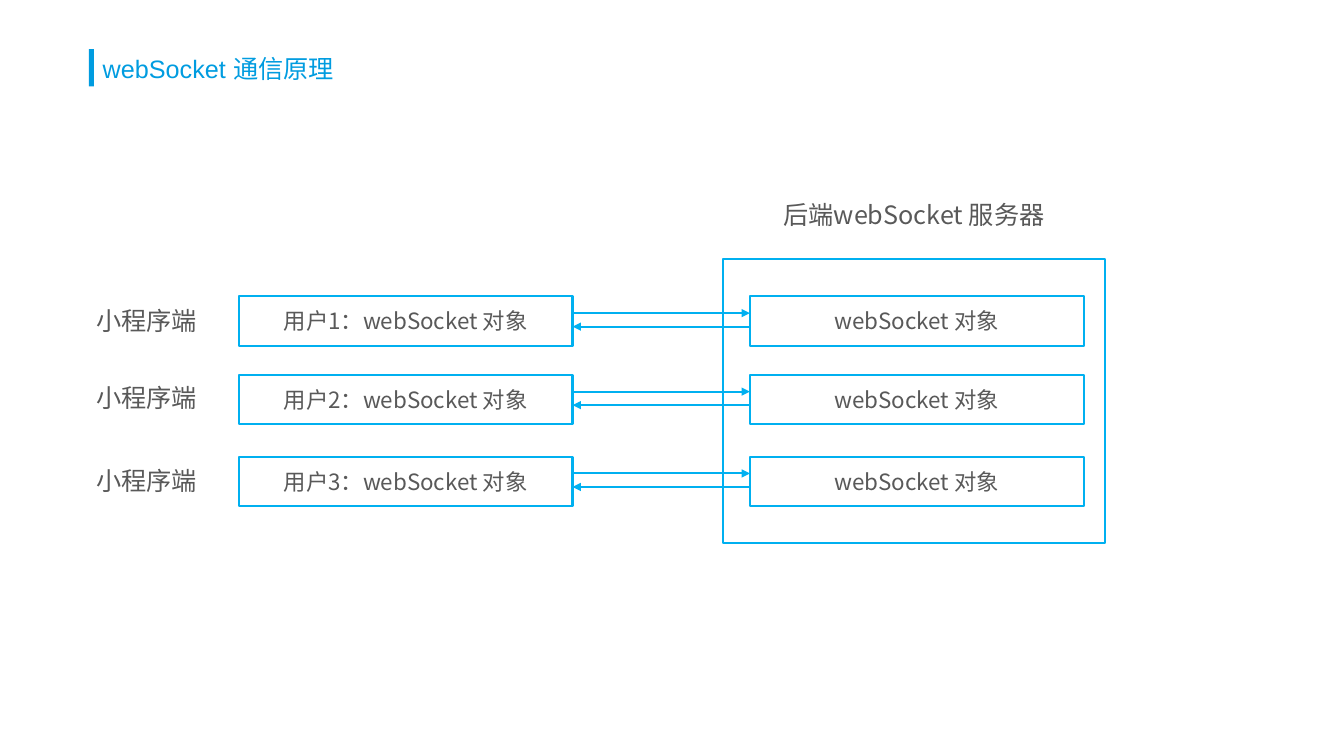
from lxml.etree import SubElement
from pptx import Presentation
from pptx.dml.color import RGBColor
from pptx.enum.shapes import MSO_CONNECTOR as Link, MSO_SHAPE as Kind
from pptx.enum.text import MSO_ANCHOR as Anchor, PP_ALIGN as Align
from pptx.oxml.ns import qn
from pptx.util import Cm, Pt

TITLE = "webSocket 通信原理"
SERVER = "后端webSocket 服务器"
CLIENT = "小程序端"
OBJECT = "webSocket 对象"
# user, top of its boxes, top of its label
ROWS = [
    ("用户1：", 7.47, 7.57),
    ("用户2：", 9.45, 9.5),
    ("用户3：", 11.51, 11.61),
]

COLORS = {"title": "009CE0", "line": "00B0F0", "text": "595959"}
SANS = "Noto Sans CJK SC"
BOX_W, BOX_H = 8.41, 1.24
USER_X, OBJ_X = 6.02, 18.9
LABEL_X, LABEL_H = -0.51, 1.02
SERVER_X, SERVER_W = 18.21, 9.65
SEND, REPLY = 0.42, 0.76  # arrow heights below the top of a box

deck = Presentation()
deck.slide_width, deck.slide_height = Cm(33.87), Cm(19.05)
slide = deck.slides.add_slide(deck.slide_layouts[6])
shapes = slide.shapes


def rgb(name):
    return RGBColor.from_string(COLORS[name])


def write(shape, text, size=18, font=SANS, color="text",
          align=Align.CENTER, anchor=Anchor.TOP, gap=None):
    frame = shape.text_frame
    frame.word_wrap = True
    frame.vertical_anchor = anchor
    par = frame.paragraphs[0]
    par.alignment = align
    par.line_spacing = gap
    run = par.add_run()
    run.text = text
    run.font.size = Pt(size)
    run.font.name = font
    run.font.color.rgb = rgb(color)
    SubElement(run.font._element, qn("a:ea"), typeface=SANS)


def label(text, x, y, w, h=LABEL_H, **style):
    area = shapes.add_textbox(Cm(x), Cm(y), Cm(w), Cm(h))
    write(area, text, **style)


def rect(x, y, w, h, fill=None):
    """Add a solid bar if fill is given, else an outlined box."""
    box = shapes.add_shape(Kind.RECTANGLE, Cm(x), Cm(y), Cm(w), Cm(h))
    box.shadow.inherit = False
    if fill:
        box.fill.solid()
        box.fill.fore_color.rgb = rgb(fill)
        box.line.fill.background()
    else:
        box.fill.background()
        box.line.color.rgb = rgb("line")
        box.line.width = Pt(1.5)
    return box


def arrow(start, end, y):
    link = shapes.add_connector(Link.STRAIGHT, Cm(start), Cm(y), Cm(end), Cm(y))
    link.line.color.rgb = rgb("line")
    link.line.width = Pt(1.5)
    SubElement(link.line._get_or_add_ln(), qn("a:tailEnd"), type="triangle")
    SubElement(link._element.spPr, qn("a:effectLst"))


rect(2.24, 1.24, 0.13, 0.94, fill="title")
label(TITLE, 2.34, 1.02, 29.21, 1.5, font="Arial", color="title",
      align=Align.LEFT, anchor=Anchor.MIDDLE, gap=0.9)

rect(SERVER_X, 6.53, SERVER_W, 7.16)
label(SERVER, SERVER_X, 4.9, SERVER_W)

for user, top, label_y in ROWS:
    label(CLIENT, LABEL_X, label_y, BOX_W)
    for x, text in ((OBJ_X, OBJECT), (USER_X, user + OBJECT)):
        write(rect(x, top, BOX_W, BOX_H), text, size=16, anchor=Anchor.MIDDLE)
    edge = USER_X + BOX_W
    arrow(edge, OBJ_X, top + SEND)
    arrow(OBJ_X, edge, top + REPLY)

deck.save("out.pptx")
